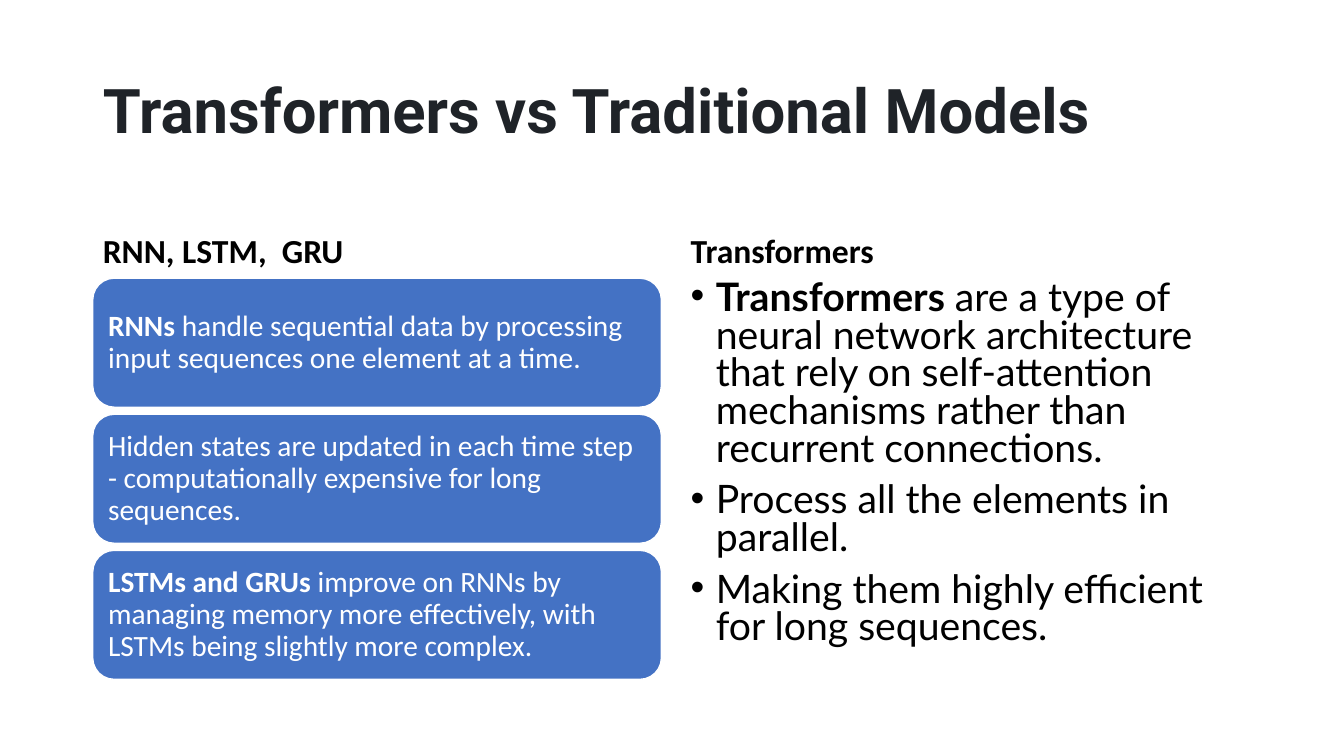
import pptx
import pptx.util
import pptx.dml.color
import pptx.enum.shapes
import pptx.enum.text
import pptx.oxml.ns
from lxml import etree

PX = 9144  # 100 px to the inch
ANCHOR = pptx.enum.text.MSO_ANCHOR


def color(hex_value):
    return pptx.dml.color.RGBColor.from_string(hex_value)


def write(paragraph, bold_text, plain_text, font, size, hex_value, spacing):
    paragraph.alignment = pptx.enum.text.PP_ALIGN.LEFT
    paragraph.line_spacing = spacing
    paragraph.space_before = pptx.util.Pt(0)
    paragraph.font.name = font
    paragraph.font.size = pptx.util.Pt(size)
    paragraph.font.color.rgb = color(hex_value)
    for text, bold in ((bold_text, True), (plain_text, False)):
        if text:
            run = paragraph.add_run()
            run.text = text
            run.font.bold = bold


deck = pptx.Presentation()
deck.slide_width, deck.slide_height = 1333 * PX, 750 * PX
slide = deck.slides.add_slide(deck.slide_layouts[4])  # Comparison
parts = {part.placeholder_format.idx: part for part in slide.placeholders}

# Title, column headings and the list area
places = [
    (0, 92, 40, 1150, 145, ANCHOR.MIDDLE),
    (1, 92, 184, 564, 90, ANCHOR.BOTTOM),
    (3, 675, 184, 567, 90, ANCHOR.BOTTOM),
    (4, 675, 274, 567, 403, ANCHOR.TOP),
]
for idx, left, top, width, height, anchor in places:
    part = parts[idx]
    part.left, part.top = left * PX, top * PX
    part.width, part.height = width * PX, height * PX
    part.text_frame.auto_size = pptx.enum.text.MSO_AUTO_SIZE.NONE
    part.text_frame.word_wrap = True
    part.text_frame.vertical_anchor = anchor

headings = [
    (0, "Transformers vs Traditional Models", "Roboto", 44, "1F2328"),
    (1, "RNN, LSTM,  GRU", "Calibri", 24, "000000"),
    (3, "Transformers", "Calibri", 24, "000000"),
]
for idx, text, font, size, hex_value in headings:
    write(parts[idx].text_frame.paragraphs[0], text, "", font, size, hex_value, 0.9)

# Left column: one card per point, in place of the list
parts[2].element.getparent().remove(parts[2].element)
cards = [
    ("RNNs", " handle sequential data by processing input sequences one element at a time."),
    ("", "Hidden states are updated in each time step - computationally expensive for long sequences."),
    ("LSTMs and GRUs", " improve on RNNs by managing memory more effectively, with LSTMs being slightly more complex."),
]
for row, (lead, rest) in enumerate(cards):
    card = slide.shapes.add_shape(
        pptx.enum.shapes.MSO_SHAPE.ROUNDED_RECTANGLE,
        92 * PX, (276 + 135 * row) * PX, 564 * PX, 128 * PX)
    card.shadow.inherit = False
    card.fill.solid()
    card.fill.fore_color.rgb = color("4472C4")
    card.line.color.rgb = color("FFFFFF")
    card.line.width = pptx.util.Pt(1)
    frame = card.text_frame
    frame.word_wrap = True
    frame.vertical_anchor = ANCHOR.MIDDLE
    # The rounded corners already inset the text by 6 px
    frame.margin_left = frame.margin_right = 9 * PX
    frame.margin_top = frame.margin_bottom = 9 * PX
    write(frame.paragraphs[0], lead, rest, "Calibri", 21, "FFFFFF", 0.9)

# Right column: bulleted list
points = [
    ("Transformers", " are a type of neural network architecture that rely on "
                     "self-attention mechanisms rather than recurrent connections."),
    ("", "Process all the elements in parallel."),
    ("", "Making them highly efficient for long sequences."),
]
points_frame = parts[4].text_frame
for row, (lead, rest) in enumerate(points):
    point = points_frame.add_paragraph() if row else points_frame.paragraphs[0]
    properties = point._p.get_or_add_pPr()
    properties.set("marL", str(25 * PX))
    properties.set("indent", str(-25 * PX))
    for tag, key, value in (("a:buFont", "typeface", "Arial"), ("a:buChar", "char", "•")):
        etree.SubElement(properties, pptx.oxml.ns.qn(tag)).set(key, value)
    write(point, lead, rest, "Lato", 28, "000000", 0.8)
    if row:
        point.space_before = pptx.util.Pt(10)

deck.save("out.pptx")
